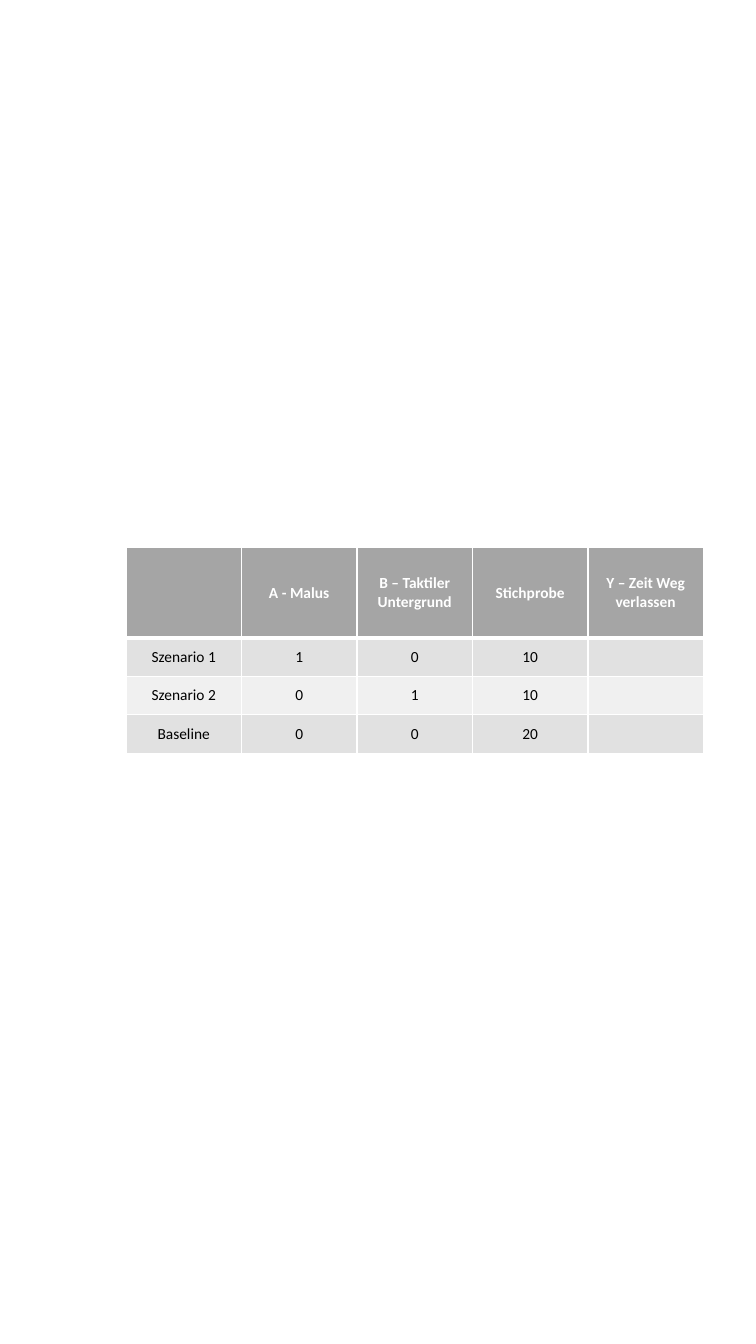
from dataclasses import dataclass

from lxml import etree
from pptx import Presentation
from pptx.dml.color import RGBColor
from pptx.enum.text import MSO_ANCHOR, PP_ALIGN
from pptx.oxml.ns import qn
from pptx.util import Inches, Pt

MIDDLE = MSO_ANCHOR.MIDDLE
CENTER = PP_ALIGN.CENTER


@dataclass(frozen=True)
class Theme:
    font: str = "Calibri"
    text_size: int = 11
    header_fill: str = "A5A5A5"
    header_text: str = "FFFFFF"
    body_fills: tuple = ("E1E1E1", "F0F0F0")
    body_text: str = "000000"
    border: str = "FFFFFF"
    thin_line: int = 1
    thick_line: int = 3


theme = Theme()

HEADER = ["", "A - Malus", "B – Taktiler Untergrund", "Stichprobe", "Y – Zeit Weg verlassen"]
SCENARIOS = [
    ["Szenario 1", "1", "0", "10", ""],
    ["Szenario 2", "0", "1", "10", ""],
    ["Baseline", "0", "0", "20", ""],
]
ROWS = [HEADER] + SCENARIOS
TABLE_WIDTH = 5.73
HEADER_HEIGHT, BODY_HEIGHT = 0.9, 0.38


def add_borders(cell, widths):
    """Draw the cell's edges; widths maps each side to points."""
    properties = cell._tc.get_or_add_tcPr()
    for position, side in enumerate("LRTB"):
        line = etree.Element(qn(f"a:ln{side}"), w=str(Pt(widths[side])))
        fill = etree.SubElement(line, qn("a:solidFill"))
        etree.SubElement(fill, qn("a:srgbClr"), val=theme.border)
        properties.insert(position, line)


# Slide
presentation = Presentation()
presentation.slide_width = Inches(7.5)
presentation.slide_height = Inches(13.33)
slide = presentation.slides.add_slide(presentation.slide_layouts[6])

# Table grid
table_height = HEADER_HEIGHT + BODY_HEIGHT * len(SCENARIOS)
table = slide.shapes.add_table(
    len(ROWS), len(HEADER), Inches(1.25), Inches(5.43), Inches(TABLE_WIDTH), Inches(table_height)
).table
for column in table.columns:
    column.width = Inches(TABLE_WIDTH / len(HEADER))

# Cells
for row_index, texts in enumerate(ROWS):
    is_header = row_index == 0
    table.rows[row_index].height = Inches(HEADER_HEIGHT if is_header else BODY_HEIGHT)
    fill_color = theme.header_fill if is_header else theme.body_fills[(row_index - 1) % 2]
    text_color = theme.header_text if is_header else theme.body_text
    borders = dict.fromkeys("LRTB", theme.thin_line)
    if is_header:
        borders["B"] = theme.thick_line
    elif row_index == 1:
        borders["T"] = theme.thick_line

    for column_index, text in enumerate(texts):
        cell = table.cell(row_index, column_index)
        cell.fill.solid()
        cell.fill.fore_color.rgb = RGBColor.from_string(fill_color)
        cell.vertical_anchor = MIDDLE
        cell.margin_top = cell.margin_bottom = 0
        add_borders(cell, borders)
        cell.text_frame.text = text
        paragraph = cell.text_frame.paragraphs[0]
        paragraph.alignment = CENTER
        for run in paragraph.runs:
            run.font.name = theme.font
            run.font.size = Pt(theme.text_size)
            run.font.bold = is_header
            run.font.color.rgb = RGBColor.from_string(text_color)

presentation.save("out.pptx")
